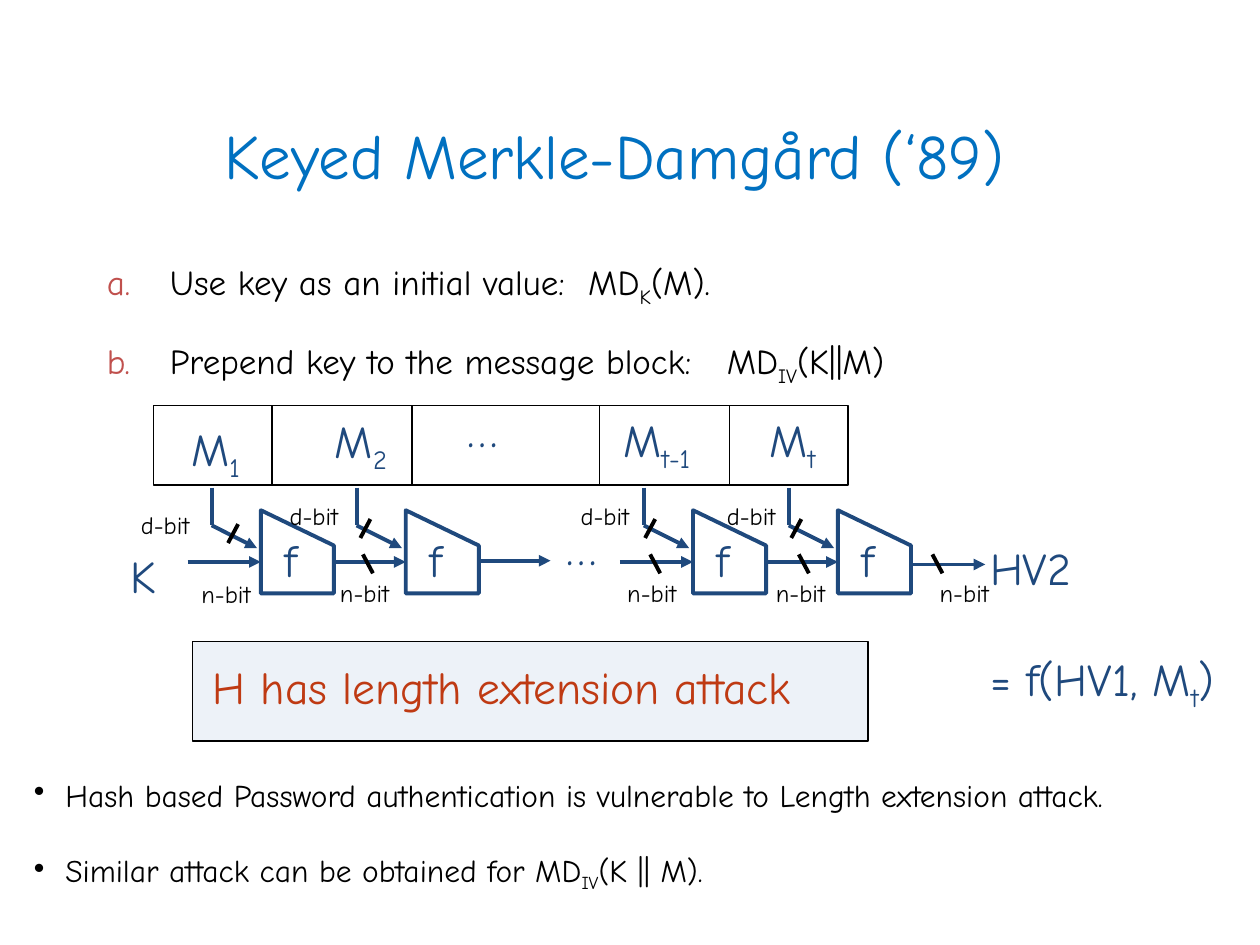
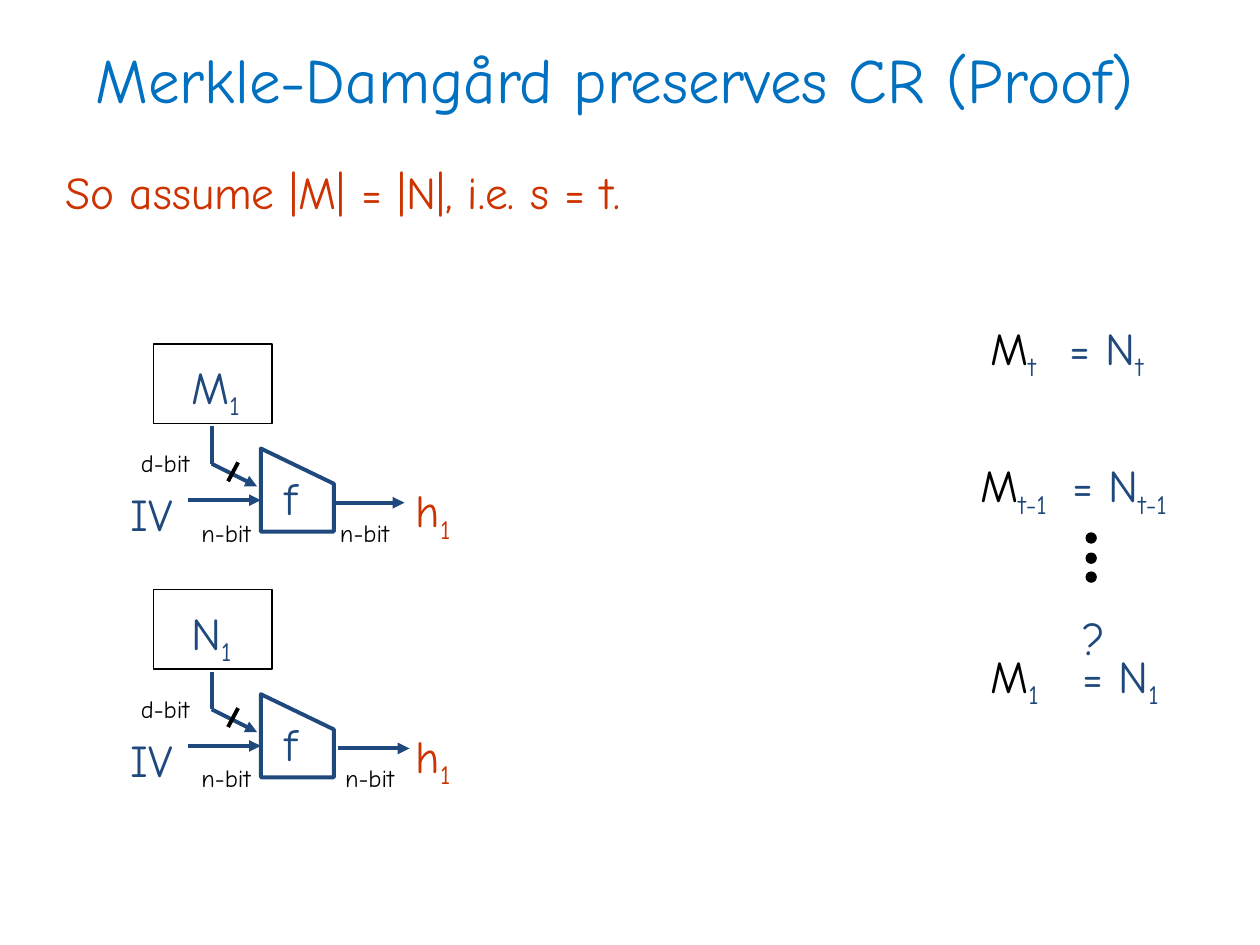
from dataclasses import dataclass

from lxml import etree
from pptx import Presentation
from pptx.dml.color import RGBColor
from pptx.enum.shapes import MSO_CONNECTOR, MSO_SHAPE
from pptx.enum.text import MSO_ANCHOR, MSO_AUTO_SIZE, PP_ALIGN
from pptx.oxml.ns import qn
from pptx.util import Emu, Pt

PX = 9144  # 100 px to the inch


@dataclass(frozen=True)
class Theme:
    font: str = "Comic Neue"
    ink: str = "000000"
    navy: str = "1F497D"
    title: str = "0070C0"
    accent: str = "CC3300"
    number: str = "C0504D"
    tint: str = "4F81BD"
    title_size: int = 36
    symbol_size: int = 26
    step_size: int = 20
    note_size: int = 18
    label_size: int = 14
    thick: float = 2.25
    thin: float = 0.75


def px(*lengths):
    return [Emu(n * PX) for n in lengths]


def child(parent, tag, **attrs):
    return etree.SubElement(parent, qn(tag), attrs)


class Deck:
    def __init__(self, theme):
        self.theme = theme
        self.prs = Presentation()
        self.prs.slide_width, self.prs.slide_height = px(1000, 750)
        self.slide = None

    @property
    def shapes(self):
        return self.slide.shapes

    def add_slide(self, title, top):
        t = self.theme
        self.slide = self.prs.slides.add_slide(self.prs.slide_layouts[5])
        sp = self.shapes.title
        sp.left, sp.top, sp.width, sp.height = px(11, top, 953, 125)
        tf = sp.text_frame
        tf.auto_size = MSO_AUTO_SIZE.NONE
        tf.vertical_anchor = MSO_ANCHOR.MIDDLE
        p = tf.paragraphs[0]
        p.alignment = PP_ALIGN.CENTER
        self.add_runs(p, title, t.title_size, t.title)

    def add_runs(self, p, text, size, color, sub_color=None):
        """Fill a paragraph; every second part between underscores is a subscript."""
        for i, part in enumerate(text.split("_")):
            if not part:
                continue
            r = p.add_run()
            r.text = part
            font = r.font
            font.name, font.size = self.theme.font, Pt(size)
            is_sub = i % 2 == 1
            font.color.rgb = RGBColor.from_string(sub_color if is_sub and sub_color else color)
            if is_sub:
                r._r.get_or_add_rPr().set("baseline", "-25000")

    def text(self, x, y, w, h, lines, size, color, wrap=False, gap=0, sub_color=None):
        tf = self.shapes.add_textbox(*px(x, y, w, h)).text_frame
        tf.word_wrap = wrap
        tf.auto_size = MSO_AUTO_SIZE.SHAPE_TO_FIT_TEXT
        for i, line in enumerate(lines):
            p = tf.add_paragraph() if i else tf.paragraphs[0]
            if i and gap:
                p.space_before = Pt(gap)
            self.add_runs(p, line, size, color, sub_color)
        return tf

    def symbol(self, x, y, w, text, color=None, **options):
        t = self.theme
        self.text(x, y, w, 53, [text], t.symbol_size, color or t.navy, **options)

    def label(self, x, y, text):
        self.text(x, y, 87, 33, [text], self.theme.label_size, self.theme.ink, wrap=True)

    def bullets(self, tf, indent, tag, attrs, color=None, tabs=()):
        """Hang a bullet or number on each paragraph, with one optional tab stop each."""
        for i, p in enumerate(tf.paragraphs):
            pPr = p._p.get_or_add_pPr()
            pPr.set("marL", str(indent * PX))
            pPr.set("indent", str(-indent * PX))
            if color:
                child(child(pPr, "a:buClr"), "a:srgbClr", val=color)
            child(pPr, tag, **attrs)
            if tabs:
                child(child(pPr, "a:tabLst"), "a:tab", pos=str(tabs[i] * PX), algn="l")

    def line(self, x1, y1, x2, y2, color=None, width=None, arrow=False):
        cx = self.shapes.add_connector(MSO_CONNECTOR.STRAIGHT, *px(x1, y1, x2, y2))
        cx.line.color.rgb = RGBColor.from_string(color or self.theme.navy)
        cx.line.width = Pt(width or self.theme.thick)
        spPr = cx._element.spPr
        if arrow:
            child(spPr.find(qn("a:ln")), "a:tailEnd", type="triangle")
        child(spPr, "a:effectLst")

    def arrow(self, x, y, length=57):
        self.line(x, y, x + length, y, arrow=True)

    def slash(self, x, y, lean):
        """Mark a wire as many bits wide; lean is the sideways run of the stroke."""
        self.line(x, y, x + lean, y + 15, self.theme.ink)

    def outline(self, sp, color, width):
        sp.shadow.inherit = False
        sp.line.color.rgb = RGBColor.from_string(color)
        sp.line.width = Pt(width)

    def shape(self, x, y, w, h, kind=MSO_SHAPE.RECTANGLE, fill=None, opacity=100):
        sp = self.shapes.add_shape(kind, *px(x, y, w, h))
        self.outline(sp, self.theme.ink, self.theme.thin)
        if not fill:
            sp.fill.background()
            return
        sp.fill.solid()
        sp.fill.fore_color.rgb = RGBColor.from_string(fill)
        if opacity < 100:
            rgb = sp._element.spPr.find(qn("a:solidFill"))[0]
            child(rgb, "a:alpha", val=str(opacity * 1000))

    def stage(self, x, y):
        """Draw one compression function with its chaining and message inputs."""
        fb = self.shapes.build_freeform(x, y, scale=PX)
        fb.add_line_segments([(x + 58, y + 28), (x + 58, y + 66), (x, y + 66)])
        sp = fb.convert_to_shape()
        sp.fill.background()
        self.outline(sp, self.theme.navy, self.theme.thick)
        self.arrow(x - 58, y + 41, 58)
        self.line(x - 39, y - 18, x - 39, y + 12)
        self.line(x - 39, y + 12, x - 3, y + 30, arrow=True)
        self.symbol(x + 9, y + 12, 39, "f")

    def first_stage(self, y, start, start_width, message):
        self.stage(207, y)
        self.symbol(94, y + 25, start_width, start)
        self.symbol(142, y - 76, 63, message)
        self.label(102, y - 5, "d-bit")
        self.label(150, y + 50, "n-bit")
        self.slash(189, y + 11, -8)


def keyed_slide(deck):
    t = deck.theme
    deck.add_slide("Keyed Merkle-Damgård (‘89)", 60)
    steps = deck.text(75, 183, 850, 150,
                      ["Use key as an initial value:\tMD_K_(M).",
                       "Prepend key to the message block:\tMD_IV_(K||M)"],
                      t.step_size, t.ink, wrap=True, gap=4)
    for p in steps.paragraphs:
        p.line_spacing = 1.5
    deck.bullets(steps, 50, "a:buAutoNum", {"type": "alphaLcPeriod"}, t.number, (382, 492))

    deck.shape(122, 322, 551, 63)
    for x in (216, 327, 476, 579):
        deck.line(x, 322, x, 385, t.ink, t.thin)
    for x, y, w, text in ((256, 323, 66, "M_2"), (361, 314, 44, "…"), (485, 322, 84, "M_t-1"),
                          (601, 322, 63, "M_t"), (440, 408, 44, "…")):
        deck.symbol(x, y, w, text)

    deck.first_stage(405, "K", 43, "M_1")
    for x in (322, 550, 665):
        deck.stage(x, 405)
    deck.arrow(380, 445)
    deck.arrow(724, 448, 58)
    for label_x, slash_x in ((220, 294), (451, 520), (567, 636)):
        deck.label(label_x, 393, "d-bit")
        deck.slash(slash_x, 412, -8)
    for x in (260, 488, 606, 736):
        deck.label(x, 454, "n-bit")
    for x in (288, 516, 634, 740):
        deck.slash(x, 440, 8)
    deck.text(776, 424, 234, 141, ["HV2", "= f(HV1, M_t_)"], t.symbol_size, t.navy, gap=32)

    deck.symbol(159, 518, 530, "H has length extension attack", t.accent)
    deck.shape(153, 509, 536, 79, fill=t.tint, opacity=10)
    notes = deck.text(17, 611, 967, 101,
                      ["Hash based Password authentication is vulnerable to Length extension attack.",
                       "Similar attack can be obtained for MD_IV_(K || M)."],
                      t.note_size, t.ink, wrap=True, gap=21)
    deck.bullets(notes, 25, "a:buChar", {"char": "•"})


def proof_slide(deck):
    t = deck.theme
    deck.add_slide("Merkle-Damgård preserves CR (Proof)", 0)
    deck.symbol(42, 125, 933, "So assume |M| = |N|, i.e. s = t.", t.accent, wrap=True)

    for y, message, out_x in ((356, "M_1", 264), (551, "N_1", 268)):
        deck.shape(122, y - 83, 94, 63)
        deck.first_stage(y, "IV", 63, message)
        deck.arrow(out_x, y + 43)
        deck.label(out_x - 4, y + 50, "n-bit")
        deck.symbol(320, y + 22, 52, "h_1", t.accent)

    for y, index, left, right in ((249, "t", 776, 839), (358, "t-1", 768, 841), (509, "1", 776, 849)):
        deck.symbol(left, y, 99, f"M_{index}", t.ink, wrap=True, sub_color=t.navy)
        deck.symbol(right, y, 131, f"= N_{index}", wrap=True)
    for i in range(3):
        deck.shape(862, 423 + round(15.5 * i), 8, 8, MSO_SHAPE.OVAL, t.ink)
    deck.symbol(849, 479, 92, "?", wrap=True)


def main():
    deck = Deck(Theme())
    keyed_slide(deck)
    proof_slide(deck)
    deck.prs.save("out.pptx")


if __name__ == "__main__":
    main()
